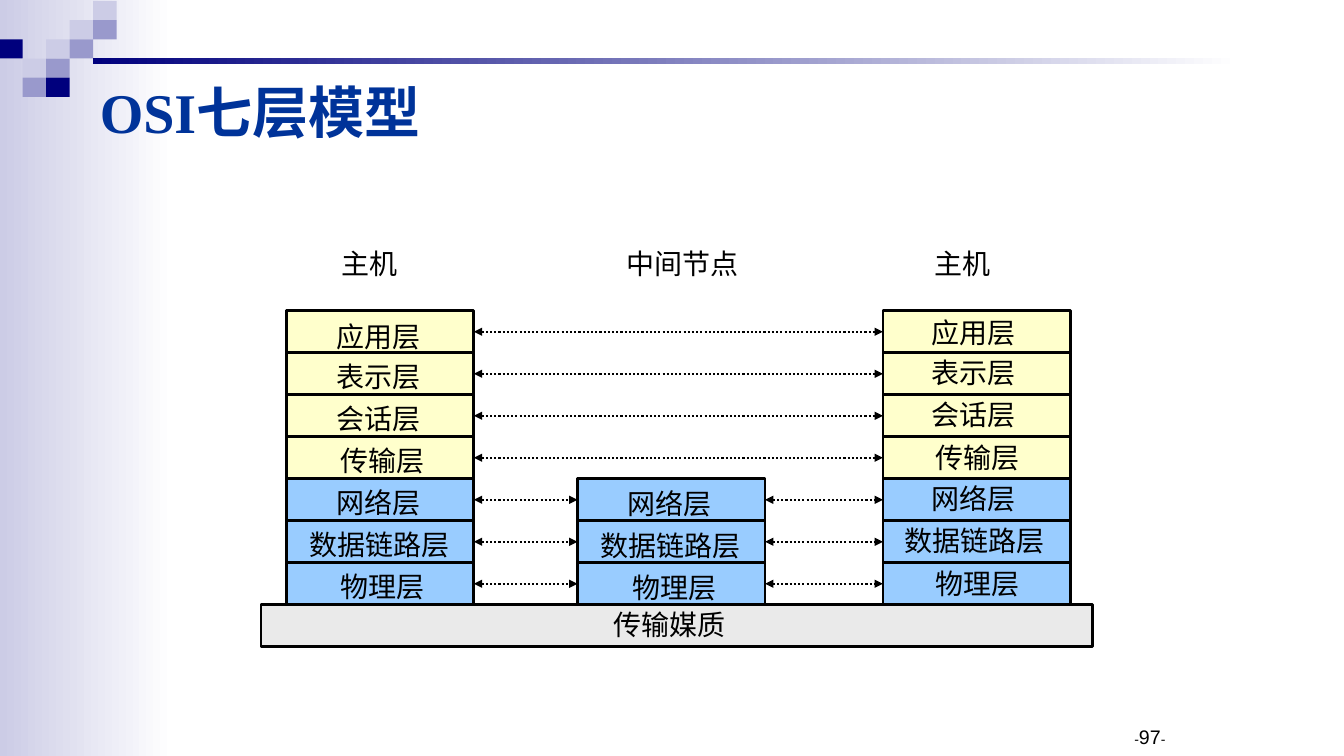
from dataclasses import dataclass
from itertools import pairwise

from lxml import etree
from pptx import Presentation
from pptx.dml.color import RGBColor
from pptx.enum import dml, shapes, text
from pptx.oxml import ns
from pptx.util import Pt

COLORS = {
    "navy": "00007D",
    "lavender": "9999CC",
    "pale": "CCCCE6",
    "white": "FFFFFF",
    "black": "000000",
    "title": "003399",
    "yellow": "FFFFCC",
    "blue": "99CCFF",
    "gray": "EAEAEA",
}
SQUARE_MAP = ["....p", "...pl", "n.pl.", ".pl..", ".ln.."]
SQUARE_COLORS = {"p": "pale", "l": "lavender", "n": "navy"}
SQUARE_WIDTH, SQUARE_HEIGHT = 16.8, 13.7
STACK_TOP, LAYER_WIDTH, LAYER_HEIGHT = 222, 134, 30
SIDE_INSET = 7
LEFT_SIDE, RIGHT_SIDE = 1, 3


@dataclass(frozen=True)
class Layer:
    name: str
    color: str
    shift: float = 0
    drop: float = 0


@dataclass(frozen=True)
class Node:
    name: str
    left: float
    first_layer: int
    label_left: float
    label_width: float
    shift: float
    drop: float


LAYERS = [
    Layer("应用层", "yellow", drop=1.3),
    Layer("表示层", "yellow"),
    Layer("会话层", "yellow"),
    Layer("传输层", "yellow", shift=3),
    Layer("网络层", "blue"),
    Layer("数据链路层", "blue", shift=0.7),
    Layer("物理层", "blue", shift=3),
]
NODES = [
    Node("主机", 204.5, 0, 236.9, 54.7, -1, 5),
    Node("中间节点", 412.5, 4, 440.6, 95, -1, 5.3),
    Node("主机", 630.7, 0, 660.2, 54.7, -2.5, 2.3),
]


def rgb(name: str) -> RGBColor:
    return RGBColor.from_string(COLORS[name])


def write_span(para, words: str, *, size: float = 20, font: str = "Arial",
               color: str = "black", bold: bool = False) -> None:
    span = para.add_run()
    span.text = words
    span.font.size = Pt(size)
    span.font.name = font
    span.font.bold = bold
    span.font.color.rgb = rgb(color)


def add_box(page, left: float, top: float, width: float, height: float,
            color: str, *, outlined: bool = False, fade_to: str = ""):
    box = page.shapes.add_shape(shapes.MSO_SHAPE.RECTANGLE,
                                Pt(left), Pt(top), Pt(width), Pt(height))
    box.shadow.inherit = False
    if fade_to:
        box.fill.gradient()
        box.fill.gradient_angle = 0
        for stop, name in zip(box.fill.gradient_stops, (color, fade_to)):
            stop.color.rgb = rgb(name)
    else:
        box.fill.solid()
        box.fill.fore_color.rgb = rgb(color)
    if outlined:
        box.line.color.rgb = rgb("black")
        box.line.width = Pt(2)
    else:
        box.line.fill.background()
    return box


def write_in_box(box, words: str, *, shift: float, drop: float) -> None:
    frame = box.text_frame
    frame.word_wrap = True
    frame.vertical_anchor = text.MSO_ANCHOR.TOP
    frame.margin_left = Pt(SIDE_INSET + shift)
    frame.margin_right = Pt(SIDE_INSET - shift)
    frame.margin_top = Pt(drop)
    frame.margin_bottom = 0
    para = frame.paragraphs[0]
    para.alignment = text.PP_ALIGN.CENTER
    write_span(para, words)


def add_label(page, left: float, top: float, width: float, height: float):
    box = page.shapes.add_textbox(Pt(left), Pt(top), Pt(width), Pt(height))
    return box.text_frame.paragraphs[0]


def link_layers(page, first_box, second_box) -> None:
    arrow = page.shapes.add_connector(shapes.MSO_CONNECTOR.STRAIGHT, 0, 0, 0, 0)
    arrow.begin_connect(first_box, RIGHT_SIDE)
    arrow.end_connect(second_box, LEFT_SIDE)
    arrow.line.color.rgb = rgb("black")
    arrow.line.width = Pt(1.5)
    arrow.line.dash_style = dml.MSO_LINE.ROUND_DOT
    outline = arrow.line._get_or_add_ln()
    for end in ("a:headEnd", "a:tailEnd"):
        etree.SubElement(outline, ns.qn(end), type="triangle")
    etree.SubElement(arrow._element.spPr, ns.qn("a:effectLst"))


def draw_header(page) -> None:
    add_box(page, 0, 0, 124.6, 540, "pale", fade_to="white")
    for row, marks in enumerate(SQUARE_MAP):
        for column, mark in enumerate(marks):
            if mark in SQUARE_COLORS:
                add_box(page, column * SQUARE_WIDTH - 0.7,
                        row * SQUARE_HEIGHT + 0.7,
                        SQUARE_WIDTH, SQUARE_HEIGHT, SQUARE_COLORS[mark])
    add_box(page, 66.5, 41.8, 818.6, 4.3, "navy", fade_to="white")


def write_title(page) -> None:
    title = page.shapes.title
    title.left, title.top, title.width, title.height = (
        Pt(64.1), Pt(54), Pt(657.4), Pt(51.1))
    frame = title.text_frame
    frame.auto_size = text.MSO_AUTO_SIZE.NONE
    frame.vertical_anchor = text.MSO_ANCHOR.MIDDLE
    para = frame.paragraphs[0]
    para.alignment = text.PP_ALIGN.LEFT
    write_span(para, "OSI七层模型", size=40, font="Times New Roman",
               color="title", bold=True)
    title._element.getparent().append(title._element)


def draw_model(page) -> None:
    for node in NODES:
        write_span(add_label(page, node.label_left, 172.8,
                             node.label_width, 31), node.name)
    for index, layer in enumerate(LAYERS):
        peers = []
        for node in NODES:
            if index < node.first_layer:
                continue
            box = add_box(page, node.left, STACK_TOP + index * LAYER_HEIGHT,
                          LAYER_WIDTH, LAYER_HEIGHT, layer.color, outlined=True)
            write_in_box(box, layer.name, shift=node.shift + layer.shift,
                         drop=node.drop + layer.drop)
            peers.append(box)
        for first_box, second_box in pairwise(peers):
            link_layers(page, first_box, second_box)
    medium = add_box(page, 186.5, STACK_TOP + len(LAYERS) * LAYER_HEIGHT,
                     594, LAYER_HEIGHT, "gray", outlined=True)
    write_in_box(medium, "传输媒质", shift=-5, drop=2.3)


def main() -> None:
    deck = Presentation()
    deck.slide_width, deck.slide_height = Pt(960), Pt(540)
    page = deck.slides.add_slide(deck.slide_layouts[5])
    draw_header(page)
    write_title(page)
    draw_model(page)
    number = add_label(page, 671.8, 514, 167.8, 36)
    number.alignment = text.PP_ALIGN.RIGHT
    for words, size in (("-", 10), ("97", 14), ("-", 10)):
        write_span(number, words, size=size)
    deck.save("out.pptx")


if __name__ == "__main__":
    main()
